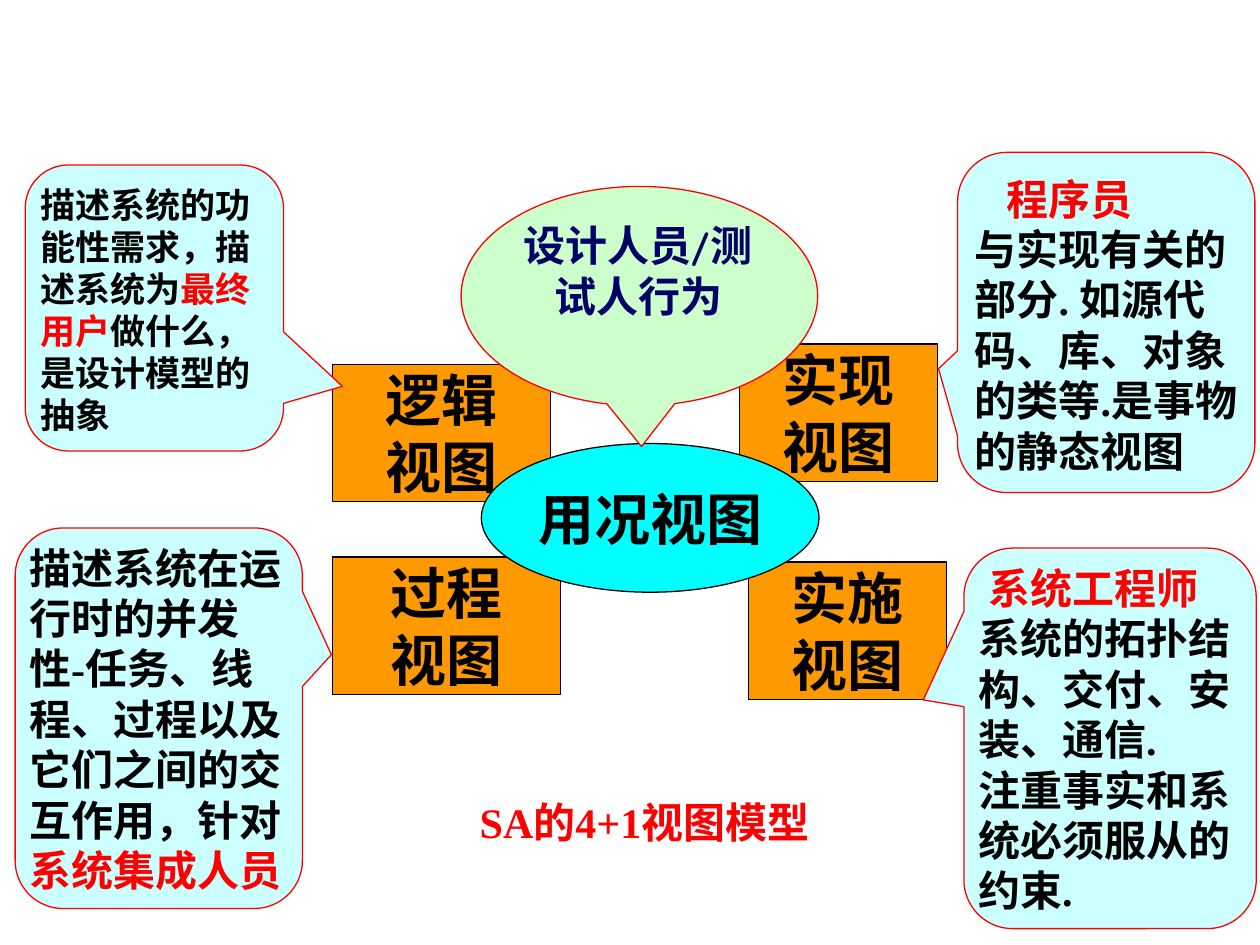
from dataclasses import dataclass

from pptx import Presentation
from pptx.dml.color import RGBColor
from pptx.enum.shapes import MSO_SHAPE as Shape
from pptx.enum.text import MSO_ANCHOR as Anchor, MSO_AUTO_SIZE as Fit, PP_ALIGN as Align
from pptx.util import Inches, Pt


@dataclass(frozen=True)
class Theme:
    serif: str = "Times New Roman"
    casual: str = "Comic Neue"
    ink: str = "000000"
    accent: str = "FF0000"
    navy: str = "000066"
    view: str = "FF9900"
    use_case: str = "00FFFF"
    note: str = "CCFFFF"
    behaviour: str = "CCFFCC"
    view_size: int = 32
    body_size: int = 24
    small_size: int = 20
    outline: float = 0.75


THEME = Theme()
INK, ACCENT = THEME.ink, THEME.accent

# Content: a paragraph is a list of (text, colour) runs; places are left, top, width, height
TITLE = [[("SA的4+1视图模型", ACCENT)]]
USE_CASE = [[("用况视图", INK)]]
BEHAVIOUR = [[("设计人员/测试人行为", THEME.navy)]]

VIEW_HEIGHT = 1.09
VIEWS = [
    ("逻辑", 2.64, 2.89, 1.73),
    ("过程", 2.64, 4.42, 1.81),
    ("实现", 5.87, 2.73, 1.57),
    ("实施", 5.94, 4.46, 1.57),
]

NOTES = [
    dict(place=(0.2, 1.31, 2.05, 2.27), tip=(0.728, 0.274), size=THEME.small_size,
         insets=(0.02, 0.05, 0.02, 0.05), indent=0,
         paragraphs=[[("描述系统的功能性需求，描述系统为", INK), ("最终用户", ACCENT),
                      ("做什么，是设计模型的抽象", INK)]]),
    dict(place=(7.6, 1.21, 2.36, 2.7), tip=(-0.564, 0.136), size=THEME.body_size,
         insets=(0.02, 0.05, 0.02, 0.05), indent=0.25,
         paragraphs=[[("程序员", ACCENT)],
                     [("与实现有关的部分. 如源代码、库、对象的类等.是事物的静态视图", INK)]]),
    dict(place=(7.65, 4.35, 2.32, 3.02), tip=(-0.639, -0.101), size=THEME.body_size,
         insets=(0, 0, 0, 0), indent=0.08,
         paragraphs=[[("系统工程师", ACCENT)],
                     [("系统的拓扑结构、交付、安装、通信.", INK)],
                     [("注重事实和系统必须服从的约束.", INK)]]),
    dict(place=(0.12, 4.19, 2.28, 3.02), tip=(0.601, -0.167), size=THEME.body_size,
         insets=(0, 0, 0, 0), indent=0,
         paragraphs=[[("描述系统在运行时的并发性-任务、线程、过程以及它们之间的交互作用，针对", INK),
                      ("系统集成人员", ACCENT)]]),
]


def write(frame, paragraphs, size, insets, align=Align.CENTER, anchor=Anchor.TOP,
          font=THEME.serif, wrap=True, fit=Fit.SHAPE_TO_FIT_TEXT, indent=0):
    frame.word_wrap = wrap
    frame.auto_size = fit
    frame.vertical_anchor = anchor
    (frame.margin_left, frame.margin_top,
     frame.margin_right, frame.margin_bottom) = map(Inches, insets)
    for index, runs in enumerate(paragraphs):
        paragraph = frame.add_paragraph() if index else frame.paragraphs[0]
        paragraph.alignment = align
        if indent and index == 0:
            properties = paragraph._p.get_or_add_pPr()
            properties.set("marL", "0")
            properties.set("indent", str(Inches(indent)))
        for text, colour in runs:
            run = paragraph.add_run()
            run.text = text
            run.font.name = font
            run.font.size = Pt(size)
            run.font.bold = True
            run.font.color.rgb = RGBColor.from_string(colour)


def add_figure(slide, kind, place, fill, line, adjustments=()):
    figure = slide.shapes.add_shape(kind, *map(Inches, place))
    figure.shadow.inherit = False
    figure.fill.solid()
    figure.fill.fore_color.rgb = RGBColor.from_string(fill)
    figure.line.color.rgb = RGBColor.from_string(line)
    figure.line.width = Pt(THEME.outline)
    for index, value in enumerate(adjustments):
        figure.adjustments[index] = value
    return figure.text_frame


def main():
    deck = Presentation()
    deck.slide_width, deck.slide_height = Inches(10), Inches(7.5)
    slide = deck.slides.add_slide(deck.slide_layouts[6])

    # Title under the diagram
    title = slide.shapes.add_textbox(*map(Inches, (2.87, 6.27, 4.49, 0.5)))
    write(title.text_frame, TITLE, THEME.body_size, (0.1, 0.05, 0.1, 0.05))

    # Four outer views
    for name, left, top, width in VIEWS:
        view = add_figure(slide, Shape.RECTANGLE, (left, top, width, VIEW_HEIGHT),
                          THEME.view, INK)
        write(view, [[(name, INK)], [("视图", INK)]], THEME.view_size,
              (0.02, 0.01, 0.02, 0.01), anchor=Anchor.MIDDLE)

    # Central use-case view
    use_case = add_figure(slide, Shape.OVAL, (3.82, 3.52, 2.68, 1.18), THEME.use_case, INK)
    write(use_case, USE_CASE, THEME.view_size, (0, 0.01, 0, 0.01),
          anchor=Anchor.MIDDLE, wrap=False, fit=Fit.NONE)

    # Corner notes pointing at their views
    for note in NOTES:
        callout = add_figure(slide, Shape.ROUNDED_RECTANGULAR_CALLOUT, note["place"],
                             THEME.note, ACCENT, (*note["tip"], 0.167))
        write(callout, note["paragraphs"], note["size"], note["insets"],
              align=Align.LEFT, indent=note["indent"])

    # Behaviour note above the centre
    behaviour = add_figure(slide, Shape.OVAL_CALLOUT, (3.66, 1.48, 2.83, 1.74),
                           THEME.behaviour, ACCENT, (0.006, 0.686))
    write(behaviour, BEHAVIOUR, THEME.body_size, (0.02, 0.01, 0.04, 0.01),
          font=THEME.casual)

    deck.save("out.pptx")


if __name__ == "__main__":
    main()
